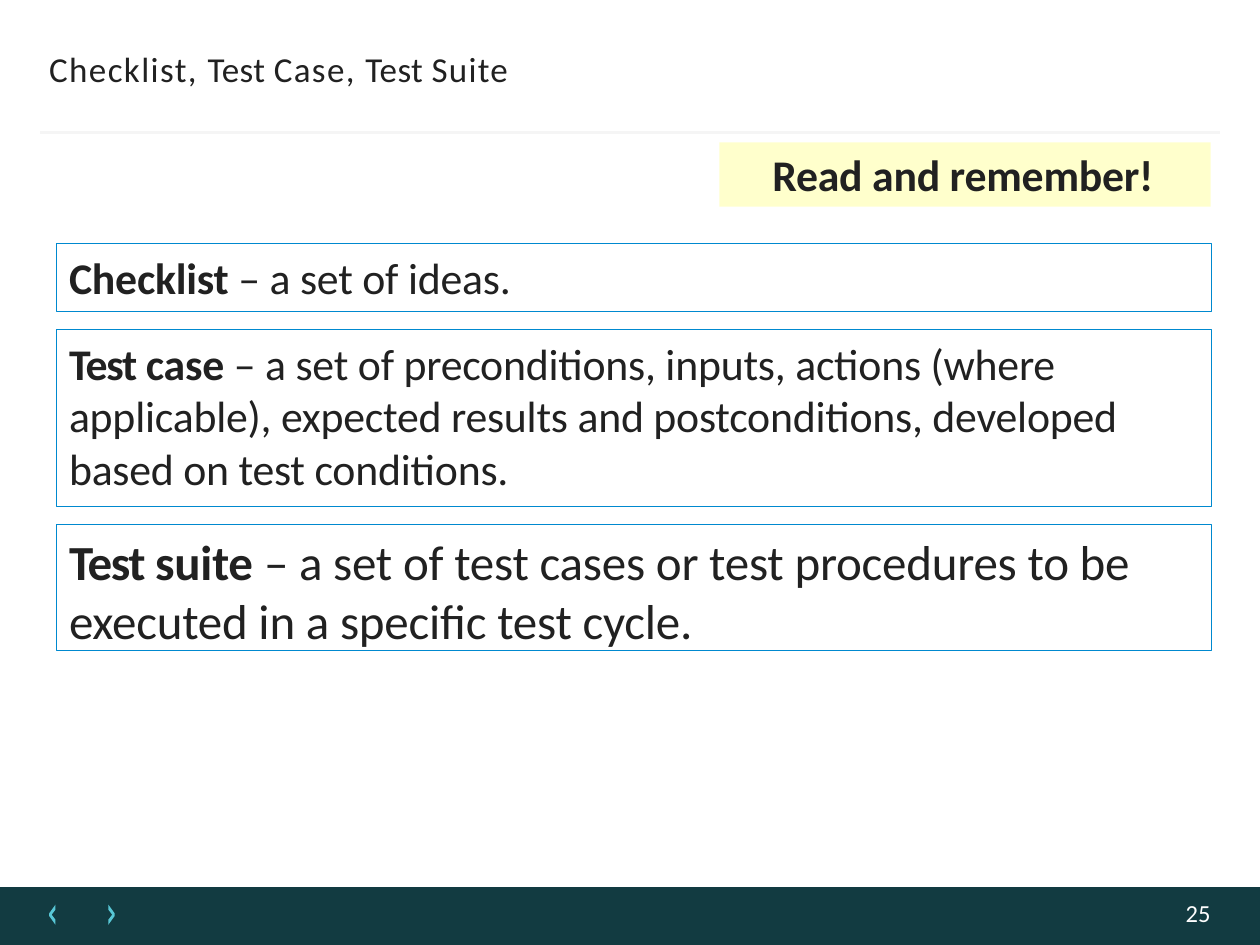
from lxml.etree import SubElement
from pptx import Presentation
from pptx.dml.color import RGBColor
from pptx.enum.shapes import MSO_CONNECTOR, MSO_SHAPE
from pptx.enum.text import MSO_ANCHOR, PP_ALIGN
from pptx.oxml.ns import qn
from pptx.util import Inches, Pt

INK = "212121"


def color(value):
    return RGBColor.from_string(value)


def block(slide, left, top, width, height, fill=None, line=None):
    shape = slide.shapes.add_shape(MSO_SHAPE.RECTANGLE, Inches(left), Inches(top),
                                   Inches(width), Inches(height))
    shape.shadow.inherit = False
    if fill:
        shape.fill.solid()
        shape.fill.fore_color.rgb = color(fill)
    else:
        shape.fill.background()
    if line:
        shape.line.color.rgb = color(line)
        shape.line.width = Pt(0.25)
    else:
        shape.line.fill.background()
    return shape


def label(slide, left, top, width, height):
    return slide.shapes.add_textbox(Inches(left), Inches(top),
                                    Inches(width), Inches(height))


def write(shape, runs, size, inset=(0, 0), tint=INK, wrap=True):
    """Fill a shape with (text, bold, letter spacing in points) runs."""
    frame = shape.text_frame
    frame.word_wrap = wrap
    frame.vertical_anchor = MSO_ANCHOR.TOP
    frame.margin_left, frame.margin_top = (Inches(gap) for gap in inset)
    frame.margin_right = frame.margin_bottom = 0
    para = frame.paragraphs[0]
    para.alignment = PP_ALIGN.LEFT
    para.font.name = "Calibri"
    para.font.size = Pt(size)
    para.font.color.rgb = color(tint)
    for text, bold, track in runs:
        run = para.add_run()
        run.text = text
        run.font.bold = bold
        run.font._element.set("spc", str(round(track * 100)))
    return para


def header(slide, left, top, width):
    title = label(slide, left + 0.06, top, 3.79, 0.36)
    write(title, [("Checklist, ", False, 0.8), ("Test ", False, 0.2),
                  ("Case, ", False, 0.8), ("Test ", False, 0.2),
                  ("Suite", False, 0.7)], 20, (0.01, 0.03), wrap=False)
    level = Inches(top + 0.7)
    rule = slide.shapes.add_connector(MSO_CONNECTOR.STRAIGHT, Inches(left), level,
                                      Inches(left + width), level)
    rule.line.color.rgb = color("F5F5F5")
    rule.line.width = Pt(1.5)
    SubElement(rule._element.spPr, qn("a:effectLst"))


def callout(slide, left, top, width, height):
    box = block(slide, left, top, width, height, fill="FFFF00")
    tone = box._element.spPr.find(qn("a:solidFill"))[0]
    SubElement(tone, qn("a:alpha")).set("val", "20000")
    write(box, [("Read and remember!", True, -0.1)], 25, (0.42, 0.04))


def terms(slide, left, top, width, gap):
    """Stack the definition boxes, one gap apart."""
    items = [
        (0.54, 25, [("Checklist ", True, -0.1), ("– a set of ideas.", False, -0.1)]),
        (1.41, 25, [("Test ", True, -0.7), ("case ", True, -0.1),
                    ("– a set of preconditions, inputs, actions (where applicable), "
                     "expected results and postconditions, developed based on test "
                     "conditions.", False, -0.1)]),
        (1, 28, [("Test ", True, -0.8), ("suite ", True, -0.1),
                 ("– a set of test cases or test procedures to be executed in a "
                  "specific test cycle.", False, -0.1)]),
    ]
    for height, size, runs in items:
        box = block(slide, left, top, width, height, line="0089CF")
        write(box, runs, size, (0.1, 0.06))
        top += height + gap


def arrows(slide, left, top, width):
    """Draw a left chevron and its mirror image as one outline."""
    half = [(0.05, 0), (0, 0.07), (0, 0.09), (0.05, 0.16),
            (0.05, 0.12), (0.02, 0.08), (0.05, 0.04)]
    pair = [[(Inches(left + x), Inches(top + y)) for x, y in half],
            [(Inches(left + width - x), Inches(top + y)) for x, y in half]]
    pen = slide.shapes.build_freeform(*pair[0][0], scale=1.0)
    pen.add_line_segments(pair[0][1:], close=True)
    pen.move_to(*pair[1][0])
    pen.add_line_segments(pair[1][1:], close=True)
    shape = pen.convert_to_shape()
    shape.shadow.inherit = False
    shape.fill.solid()
    shape.fill.fore_color.rgb = color("58C7D6")
    shape.line.fill.background()


def footer(slide, left, top, width, height):
    block(slide, left, top, width, height, fill="123B41")
    arrows(slide, left + 0.39, top + 0.14, 0.52)
    page = label(slide, left + width - 0.63, top + 0.12, 0.28, 0.22)
    para = write(page, [("25", False, 0)], 14, (0.04, 0), "FDFDFD")
    para.line_spacing = Pt(14.3)


def main():
    deck = Presentation()
    deck.slide_width, deck.slide_height = Inches(10), Inches(7.5)
    slide = deck.slides.add_slide(deck.slide_layouts[6])
    footer(slide, 0, 7.04, 10, 0.46)
    header(slide, 0.32, 0.35, 9.36)
    terms(slide, 0.45, 1.93, 9.16, 0.14)
    callout(slide, 5.71, 1.13, 3.9, 0.51)
    deck.save("out.pptx")


if __name__ == "__main__":
    main()
